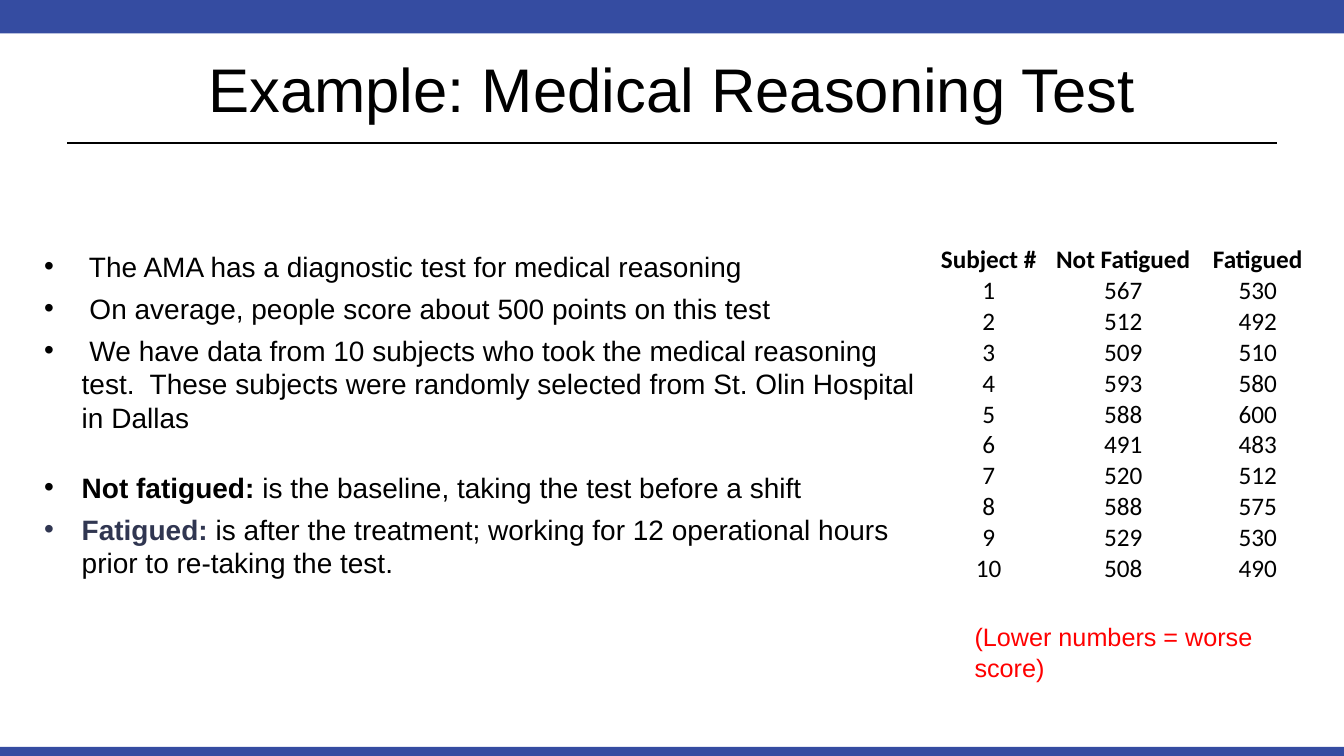
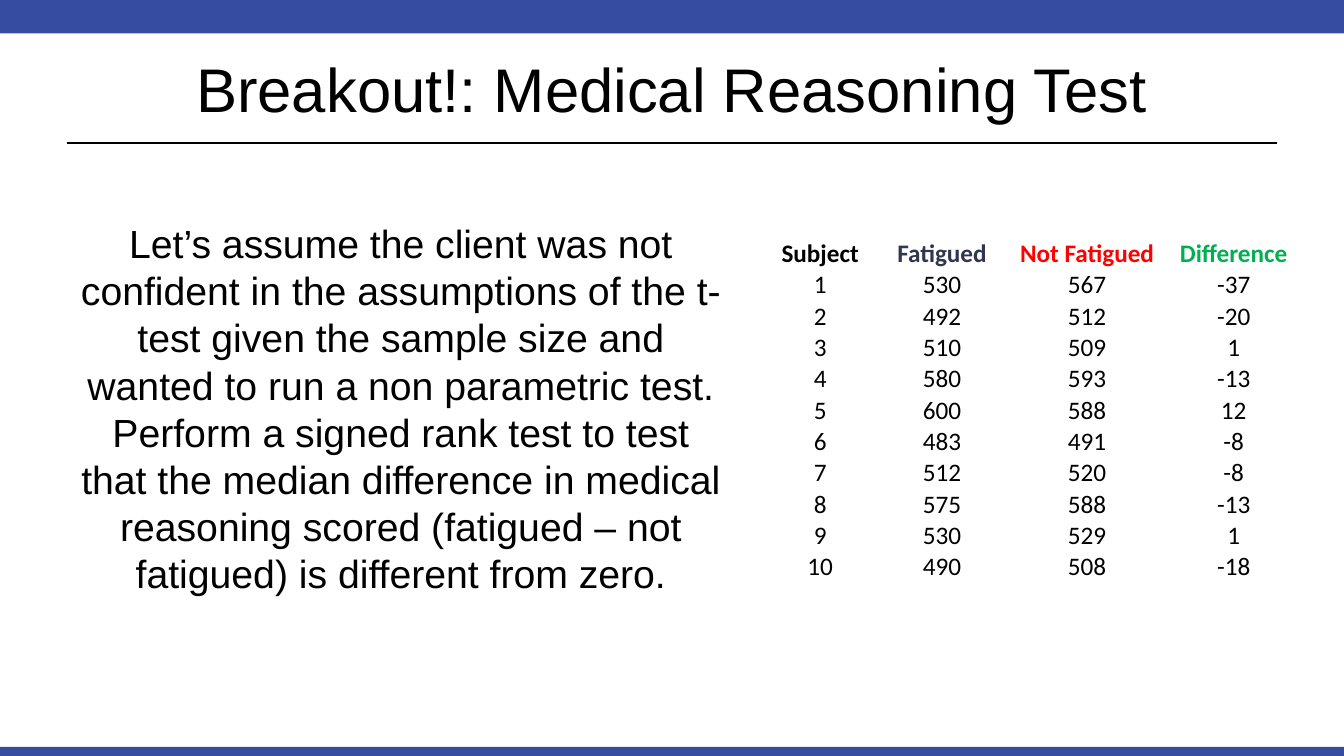
from lxml import etree
from pptx import Presentation
from pptx.dml.color import RGBColor
from pptx.enum.shapes import MSO_CONNECTOR, MSO_SHAPE
from pptx.enum.text import MSO_ANCHOR, PP_ALIGN
from pptx.oxml.ns import qn
from pptx.util import Cm, Pt

RECT = MSO_SHAPE.RECTANGLE
STRAIGHT = MSO_CONNECTOR.STRAIGHT
LEFT, CENTER = PP_ALIGN.LEFT, PP_ALIGN.CENTER
MIDDLE, BOTTOM = MSO_ANCHOR.MIDDLE, MSO_ANCHOR.BOTTOM

WIDTH, HEIGHT = 33.87, 19.05
MARGIN = 1.7
COLORS = {"band": "354CA1", "text": "000000", "navy": "303651",
          "red": "FF0000", "green": "00B050"}
TITLE_ONLY = 5

NOT_FATIGUED = [567, 512, 509, 593, 588, 491, 520, 588, 529, 508]
FATIGUED = [530, 492, 510, 580, 600, 483, 512, 575, 530, 490]


class Deck:
    def __init__(self):
        self.prs = Presentation()
        self.prs.slide_width = Cm(WIDTH)
        self.prs.slide_height = Cm(HEIGHT)
        self.s = None

    def color(self, name):
        return RGBColor.from_string(COLORS[name])

    def style(self, font, size, color="text", bold=False, name="Arial"):
        font.name = name
        font.size = Pt(size)
        font.bold = bold
        font.color.rgb = self.color(color)

    def slide(self, title):
        self.s = self.prs.slides.add_slide(self.prs.slide_layouts[TITLE_ONLY])
        self.band(0, 0.84)
        self.band(18.82, 0.23)
        self.rule(3.61)
        sp = self.s.shapes.title
        sp.left, sp.top = Cm(MARGIN), Cm(0.64)
        sp.width, sp.height = Cm(WIDTH - 2 * MARGIN), Cm(3.17)
        tf = sp.text_frame
        tf.text = title
        tf.vertical_anchor = MIDDLE
        p = tf.paragraphs[0]
        p.alignment = CENTER
        self.style(p.runs[0].font, 44)

    def band(self, top, height):
        sp = self.s.shapes.add_shape(RECT, 0, Cm(top), Cm(WIDTH), Cm(height))
        sp.shadow.inherit = False
        sp.fill.solid()
        sp.fill.fore_color.rgb = self.color("band")
        sp.line.fill.background()

    def rule(self, top):
        line = self.s.shapes.add_connector(
            STRAIGHT, Cm(MARGIN), Cm(top), Cm(WIDTH - MARGIN), Cm(top))
        line.line.color.rgb = self.color("text")
        line.line.width = Pt(1.25)
        etree.SubElement(line._element.spPr, qn("a:effectLst"))

    def box(self, left, top, width, height):
        sp = self.s.shapes.add_textbox(Cm(left), Cm(top), Cm(width), Cm(height))
        sp.text_frame.word_wrap = True
        return sp.text_frame

    def paragraph(self, tf, index):
        return tf.add_paragraph() if index else tf.paragraphs[0]

    def text(self, at, lines, size, color="text", align=LEFT):
        tf = self.box(*at)
        for i, line in enumerate(lines):
            p = self.paragraph(tf, i)
            p.text = line
            p.alignment = align
            self.style(p.runs[0].font, size, color)

    def bullets(self, at, items, size=20):
        tf = self.box(*at)
        for i, (before, runs) in enumerate(items):
            p = self.paragraph(tf, i)
            pPr = p._p.get_or_add_pPr()
            pPr.set("marL", str(Cm(0.95)))
            pPr.set("indent", str(-Cm(0.95)))
            etree.SubElement(pPr, qn("a:buFont")).set("typeface", "Arial")
            etree.SubElement(pPr, qn("a:buChar")).set("char", "•")
            if i:
                p.space_before = Pt(before)
            for text, color, bold in runs:
                r = p.add_run()
                r.text = text
                self.style(r.font, size, color, bold)

    def table(self, left, top, row_height, columns):
        rows = len(columns[0][3]) + 1
        width = sum(column[0] for column in columns)
        table = self.s.shapes.add_table(
            rows, len(columns), Cm(left), Cm(top),
            Cm(width), Cm(row_height * rows)).table
        table.first_row = False
        table.horz_banding = False
        for row in table.rows:
            row.height = Cm(row_height)
        for c, (col_width, heading, color, values) in enumerate(columns):
            table.columns[c].width = Cm(col_width)
            self.cell(table.cell(0, c), heading, color, True)
            for r, value in enumerate(values, 1):
                self.cell(table.cell(r, c), str(value))

    def cell(self, cell, text, color="text", bold=False):
        cell.fill.background()
        cell.vertical_anchor = BOTTOM
        cell.margin_left = cell.margin_right = 0
        cell.margin_top = cell.margin_bottom = 0
        p = cell.text_frame.paragraphs[0]
        p.text = text
        p.alignment = CENTER
        self.style(p.runs[0].font, 18, color, bold, "Calibri")


def main():
    deck = Deck()
    subjects = range(1, len(FATIGUED) + 1)

    deck.slide("Example: Medical Reasoning Test")
    deck.bullets((0.86, 6.15, 22.76, 11.18), [
        (0, [(" The AMA has a diagnostic test for medical reasoning", "text", False)]),
        (6, [(" On average, people score about 500 points on this test", "text", False)]),
        (6, [(" We have data from 10 subjects who took the medical reasoning test.  "
              "These subjects were randomly selected from St. Olin Hospital in Dallas",
              "text", False)]),
        (26, [("Not fatigued: ", "text", True),
              ("is the baseline, taking the test before a shift", "text", False)]),
        (6, [("Fatigued: ", "navy", True),
             ("is after the treatment; working for 12 operational hours "
              "prior to re-taking the test.", "text", False)]),
    ])
    deck.table(23.22, 6.15, 0.78, [
        (3.39, "Subject #", "text", subjects),
        (3.39, "Not Fatigued", "text", NOT_FATIGUED),
        (3.39, "Fatigued", "text", FATIGUED),
    ])
    deck.text((24.31, 15.54, 8.69, 1.9), ["(Lower numbers = worse score)"], 18, "red")

    deck.slide("Breakout!: Medical Reasoning Test")
    deck.text((1.63, 5.41, 16.94, 9.83), [
        "Let’s assume the client was not confident in the assumptions of the t-test "
        "given the sample size and wanted to run a non parametric test.",
        "Perform a signed rank test to test that the median difference in medical "
        "reasoning scored (fatigued – not fatigued) is different from zero.",
    ], 28, align=CENTER)
    differences = [f - n for f, n in zip(FATIGUED, NOT_FATIGUED)]
    deck.table(19.25, 5.99, 0.79, [
        (2.84, "Subject", "text", subjects),
        (3.3, "Fatigued", "navy", FATIGUED),
        (4.01, "Not Fatigued", "red", NOT_FATIGUED),
        (3.38, "Difference", "green", differences),
    ])

    deck.prs.save("out.pptx")


if __name__ == "__main__":
    main()
